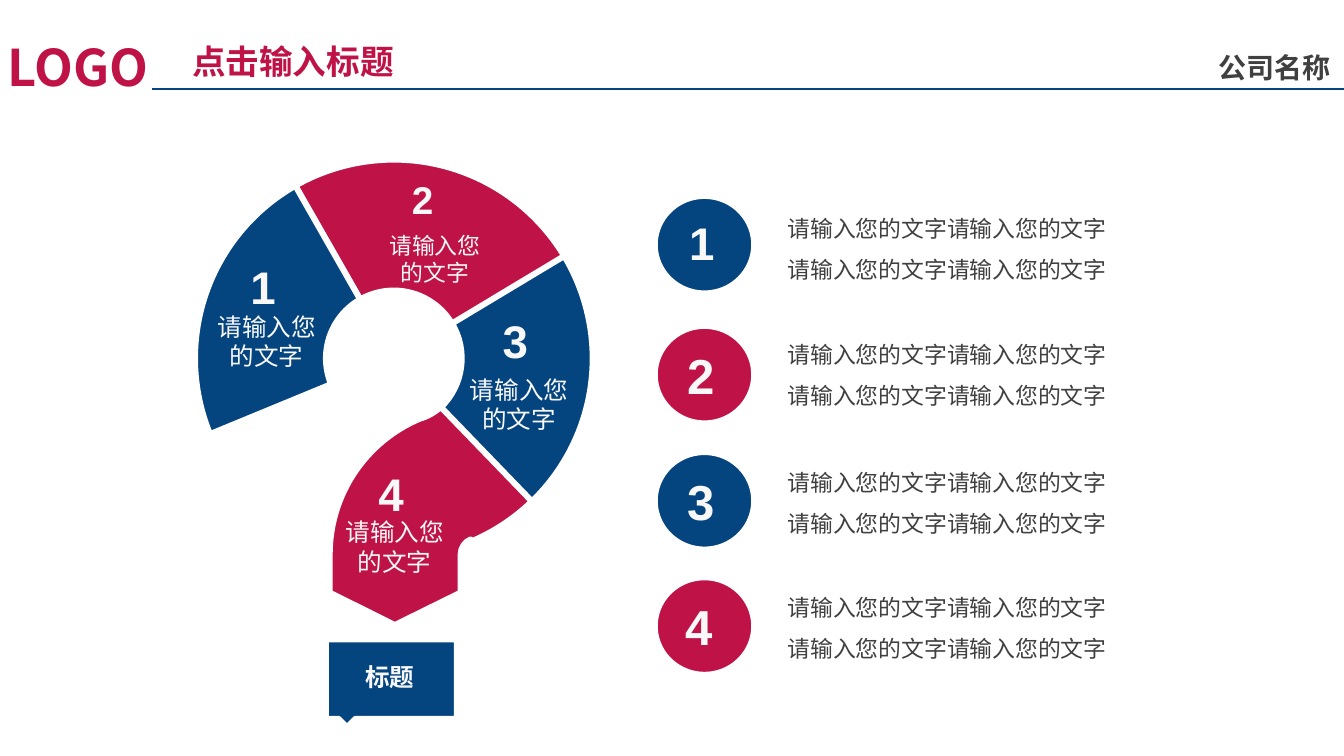
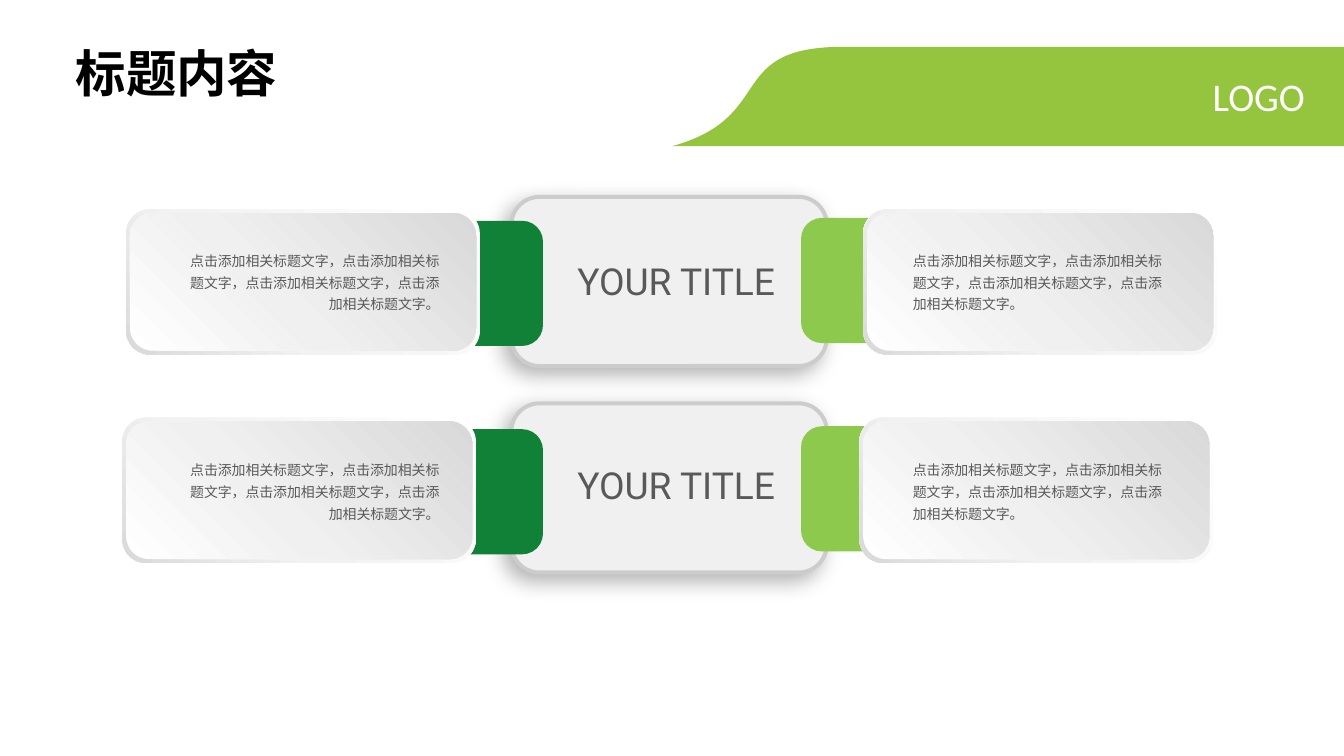
from dataclasses import dataclass
from math import ceil, cos, radians, sin, tan

from lxml.etree import SubElement
from pptx import Presentation
from pptx.dml.color import RGBColor
from pptx.enum.shapes import MSO_CONNECTOR, MSO_SHAPE
from pptx.enum.text import MSO_ANCHOR, MSO_AUTO_SIZE, PP_ALIGN
from pptx.oxml.ns import qn
from pptx.util import Inches, Pt


@dataclass(frozen=True)
class Theme:
    blue: str = "04447F"
    red: str = "BF1347"
    dark_green: str = "108136"
    light_green: str = "8CC94C"
    banner_green: str = "95C53E"
    white: str = "FFFFFF"
    off_white: str = "F8F8F8"
    black: str = "000000"
    text_dark: str = "404040"
    text_grey: str = "595959"
    panel_edge: str = "CCCCCC"
    panel_stops: tuple = ((0, "F0F0F0"), (100, "F1F1F1"))
    frame_stops: tuple = ((0, "FFFFFF"), (62, "F2F2F2"), (100, "D9D9D9"))
    card_stops: tuple = ((0, "FFFFFF"), (42, "F0F0F0"), (100, "D9D9D9"))
    chinese_font: str = "Noto Sans CJK SC"
    digit_font: str = "Arial"
    heading_font: str = "Calibri"
    panel_font: str = "Roboto"
    logo_size: float = 38
    banner_logo_size: float = 29.5
    heading_size: float = 38
    title_size: float = 25.3
    company_size: float = 21.1
    digit_size: float = 34.4
    small_digit_size: float = 29.1
    circle_digit_size: float = 37
    caption_size: float = 18.5
    body_size: float = 17.2
    panel_size: float = 28
    card_size: float = 10.5


THEME = Theme()


@dataclass(frozen=True)
class TextStyle:
    size: float
    color: str
    font: str = THEME.chinese_font
    bold: bool = False
    align: PP_ALIGN = PP_ALIGN.LEFT
    spacing: float = 1.0
    anchor: MSO_ANCHOR = MSO_ANCHOR.TOP
    wrap: bool = True


def write_text(shape, text, style, margins=(0.1, 0.05)):
    frame = shape.text_frame
    frame.text = text
    frame.word_wrap = style.wrap
    frame.auto_size = MSO_AUTO_SIZE.SHAPE_TO_FIT_TEXT
    frame.vertical_anchor = style.anchor
    frame.margin_left = frame.margin_right = Inches(margins[0])
    frame.margin_top = frame.margin_bottom = Inches(margins[1])
    for paragraph in frame.paragraphs:
        paragraph.alignment = style.align
        paragraph.line_spacing = style.spacing
        for run in paragraph.runs:
            run.font.size = Pt(style.size)
            run.font.bold = style.bold
            run.font.color.rgb = RGBColor.from_string(style.color)
            run.font.name = style.font
            east_asian = SubElement(run.font._element, qn("a:ea"))
            east_asian.set("typeface", THEME.chinese_font)


def add_text(slide, box, text, style, margins=(0.1, 0.05)):
    write_text(slide.shapes.add_textbox(*map(Inches, box)), text, style, margins)


def add_title(slide, box, text, style, margins=(0.1, 0.05)):
    title = slide.shapes.title
    title.left, title.top, title.width, title.height = map(Inches, box)
    write_text(title, text, style, margins)


def paint(shape, fill=None, line=None, width=4.5):
    shape.shadow.inherit = False
    if fill:
        shape.fill.solid()
        shape.fill.fore_color.rgb = RGBColor.from_string(fill)
    if line:
        shape.line.color.rgb = RGBColor.from_string(line)
        shape.line.width = Pt(width)
    else:
        shape.line.fill.background()


def paint_gradient(shape, stops, clockwise_angle):
    shape.fill.gradient()
    shape.fill.gradient_angle = 360 - clockwise_angle
    stop_list = shape._element.spPr.find(".//" + qn("a:gsLst"))
    for stop in list(stop_list):
        stop_list.remove(stop)
    for position, color in stops:
        stop = SubElement(stop_list, qn("a:gs"), pos=str(position * 1000))
        SubElement(stop, qn("a:srgbClr"), val=color)


def add_soft_shadow(shape, color, opacity, blur, distance, angle):
    effects = shape._element.spPr.find(qn("a:effectLst"))
    shadow = SubElement(
        effects, qn("a:outerShdw"), blurRad=str(Pt(blur)), dist=str(Pt(distance)),
        dir=str(angle * 60000), algn="ctr", rotWithShape="0")
    shade = SubElement(shadow, qn("a:srgbClr"), val=color)
    SubElement(shade, qn("a:alpha"), val=str(opacity * 1000))


def add_preset(slide, preset, box, fill=None, line=None, width=4.5):
    shape = slide.shapes.add_shape(preset, *map(Inches, box))
    paint(shape, fill, line, width)
    return shape


def add_outline(slide, start, segments, fill, line=None):
    ends = [tuple(map(Inches, segment[-1])) for segment in segments]
    builder = slide.shapes.build_freeform(*map(Inches, start))
    builder.add_line_segments(ends, close=True)
    shape = builder.convert_to_shape()
    straight_parts = list(shape._element.iter(qn("a:lnTo")))
    for part, segment in zip(straight_parts, segments):
        if len(segment) == 3:
            curve = part.makeelement(qn("a:cubicBezTo"))
            for x, y in segment:
                SubElement(curve, qn("a:pt"), x=str(Inches(x) - shape.left),
                           y=str(Inches(y) - shape.top))
            part.getparent().replace(part, curve)
    paint(shape, fill, line)


def polar(center, radius, angle):
    return (center[0] + radius * cos(radians(angle)),
            center[1] + radius * sin(radians(angle)))


def arc(center, radius, start, end):
    count = ceil(abs(end - start) / 45)
    step = (end - start) / count
    reach = radius * 4 / 3 * tan(radians(step / 4))
    curves = []
    for index in range(count):
        first = start + step * index
        last = first + step
        curves.append((
            polar(polar(center, radius, first), reach, first + 90),
            polar(polar(center, radius, last), -reach, last + 90),
            polar(center, radius, last)))
    return curves


def add_company_header(slide):
    rule = slide.shapes.add_connector(
        MSO_CONNECTOR.STRAIGHT, Inches(1.59), Inches(0.93), Inches(14.06), Inches(0.93))
    rule.line.color.rgb = RGBColor.from_string(THEME.blue)
    rule.line.width = Pt(1)
    SubElement(rule._element.spPr, qn("a:effectLst"))
    margins = (0.08, 0.04)
    common = dict(bold=True, anchor=MSO_ANCHOR.MIDDLE, wrap=False)
    add_title(slide, (1.93, 0.38, 2.28, 0.51), "点击输入标题",
              TextStyle(THEME.title_size, THEME.red, **common), margins)
    add_text(slide, (12.67, 0.49, 1.34, 0.43), "公司名称",
             TextStyle(THEME.company_size, THEME.text_dark, **common), margins)
    add_text(slide, (0, 0.33, 1.73, 0.72), "LOGO",
             TextStyle(THEME.logo_size, THEME.red, **common), margins)


def digit_style(size):
    return TextStyle(size, THEME.off_white, THEME.digit_font, bold=True, wrap=False)


def caption_style(size, bold=False):
    return TextStyle(size, THEME.off_white, THEME.digit_font, bold, PP_ALIGN.CENTER)


def add_question_mark(slide, left, top):
    center = (left + 2.08, top + 2.07)
    outer, inner = 2.08, 0.71
    opening, join = 157.6, 427
    bend = (left + 2.95, top + 4.12)
    tail_top, tail_tip = top + 4.52, top + 4.86
    mark = (arc(center, outer, opening, join)
            + [(polar(bend, 0.17, 247),)]
            + arc(bend, 0.17, 247, 180)
            + [((bend[0] - 0.17, tail_top),), ((bend[0] - 0.86, tail_tip),),
               ((bend[0] - 1.54, tail_top),), (polar(bend, 1.54, 180),)]
            + arc(bend, 1.54, 180, 247)
            + arc(center, inner, join, opening))
    add_outline(slide, polar(center, outer, opening), mark, THEME.red, THEME.white)
    sectors = ((240.3, 331, THEME.red), (329, 406, THEME.blue),
               (opening, 240.3, THEME.blue))
    for start, end, color in sectors:
        ring = (arc(center, outer, start, end) + [(polar(center, inner, end),)]
                + arc(center, inner, end, start))
        add_outline(slide, polar(center, outer, start), ring, color, THEME.white)

    labels = (
        (0.13, 1.53, 0.35, 0.55, THEME.digit_size, THEME.caption_size),
        (1.89, 0.69, 0.28, 0.58, THEME.small_digit_size, THEME.body_size),
        (2.77, 2.19, 0.35, 0.65, THEME.digit_size, THEME.caption_size),
        (1.47, 3.68, 0.35, 0.54, THEME.digit_size, THEME.caption_size),
    )
    for number, label in enumerate(labels, 1):
        x, caption_y, indent, rise, number_size, text_size = label
        caption_top = top + caption_y
        add_text(slide, (left + x + indent, caption_top - rise, 0.45, 0.68),
                 str(number), digit_style(number_size))
        add_text(slide, (left + x, caption_top, 1.24, 0.72), "请输入您的文字",
                 caption_style(text_size))


def add_callout(slide, left, top):
    corners = ((1.37, 0), (1.37, 0.83), (0.31, 0.83),
               (0.22, 0.92), (0.13, 0.83), (0, 0.83))
    add_outline(slide, (left, top), [((left + x, top + y),) for x, y in corners],
                THEME.blue, THEME.white)
    add_text(slide, (left + 0.05, top + 0.19, 1.24, 0.41), "标题",
             caption_style(THEME.caption_size, bold=True))


def add_numbered_list(slide, left, rows):
    line = "请输入您的文字请输入您的文字"
    for index, (circle_top, text_top, digit_indent) in enumerate(rows):
        color = (THEME.blue, THEME.red)[index % 2]
        add_preset(slide, MSO_SHAPE.OVAL, (left, circle_top, 1.04, 1.02),
                   color, THEME.white)
        digit_left, digit_top = left + digit_indent, circle_top + 0.15
        if index:
            digit = add_preset(slide, MSO_SHAPE.RECTANGLE,
                               (digit_left, digit_top, 0.46, 0.72), color)
            write_text(digit, str(index + 1), digit_style(THEME.circle_digit_size))
        else:
            add_text(slide, (digit_left, digit_top, 0.45, 0.68), "1",
                     digit_style(THEME.digit_size))
        add_text(slide, (left + 1.29, text_top, 4.34, 0.97), f"{line}\n{line}",
                 TextStyle(THEME.body_size, THEME.text_dark, spacing=1.5))


def add_banner_header(slide):
    add_outline(slide, (8.85, 0.49), [
        ((14.06, 0.49),), ((14.06, 1.53),), ((7.03, 1.53),),
        ((8.15, 1.22), (7.56, 0.48), (8.85, 0.49))], THEME.banner_green)
    add_title(slide, (0.69, 0.39, 2.34, 0.74), "标题内容", TextStyle(
        THEME.heading_size, THEME.black, THEME.heading_font, bold=True, wrap=False))
    add_text(slide, (12.58, 0.71, 1.17, 0.6), "LOGO", TextStyle(
        THEME.banner_logo_size, THEME.white, THEME.heading_font,
        align=PP_ALIGN.RIGHT, wrap=False))


def add_title_panel(slide, left, top, text_top):
    panel = add_preset(slide, MSO_SHAPE.ROUNDED_RECTANGLE, (left, top, 3.3, 1.77),
                       line=THEME.panel_edge, width=3)
    paint_gradient(panel, THEME.panel_stops, 45)
    add_soft_shadow(panel, THEME.black, 30, 16, 7, 135)
    add_text(slide, (left + 0.58, text_top, 2.85, 0.58), "YOUR TITLE",
             TextStyle(THEME.panel_size, THEME.text_grey, THEME.panel_font), (0.11, 0.05))


def add_nested(slide, left, top, width, height, fill=None):
    return [add_preset(slide, MSO_SHAPE.ROUNDED_RECTANGLE,
                       (left + inset, top + inset, width - 2 * inset, height - 2 * inset),
                       fill) for inset in (0, 0.04)]


def add_card(slide, left, top, tab_left, tab_top, tab_color, text_box, align):
    add_nested(slide, tab_left, tab_top, 3.19, 1.31, tab_color)
    frame, face = add_nested(slide, left, top, 3.7, 1.52)
    paint_gradient(frame, THEME.frame_stops, 135)
    paint_gradient(face, THEME.card_stops, 315)
    add_text(slide, text_box, "点击添加相关标题文字，" * 3 + "点击添加相关标题文字。",
             TextStyle(THEME.card_size, THEME.text_grey, align=align, spacing=1.3),
             (0.11, 0.05))


def build_question_slide(slide):
    add_company_header(slide)
    add_callout(slide, 3.41, 6.69)
    add_question_mark(slide, 2.04, 1.68)
    add_numbered_list(slide, 6.85, (
        (2.05, 2.05, 0.26), (3.41, 3.37, 0.24), (4.73, 4.71, 0.24), (6.04, 6.02, 0.22)))


def build_panel_slide(slide):
    add_banner_header(slide)
    for row in range(2):
        add_title_panel(slide, 5.35, 2.06 + 2.16 * row, 2.65 + 2.14 * row)
        shift, top = -0.04 * row, 2.19 + 2.18 * row
        text_top = 2.54 + 2.19 * row
        add_card(slide, 1.32 + shift, top, 2.49, top + 0.12, THEME.dark_green,
                 (1.85, text_top, 2.86, 0.8), PP_ALIGN.RIGHT)
        add_card(slide, 9.03 + shift, top, 8.38, top + 0.09, THEME.light_green,
                 (9.44, text_top, 2.86, 0.8), PP_ALIGN.LEFT)


def main():
    presentation = Presentation()
    presentation.slide_width = Inches(14.06)
    presentation.slide_height = Inches(7.91)
    title_only = presentation.slide_layouts[5]
    for build in (build_question_slide, build_panel_slide):
        build(presentation.slides.add_slide(title_only))
    presentation.save("out.pptx")


if __name__ == "__main__":
    main()
